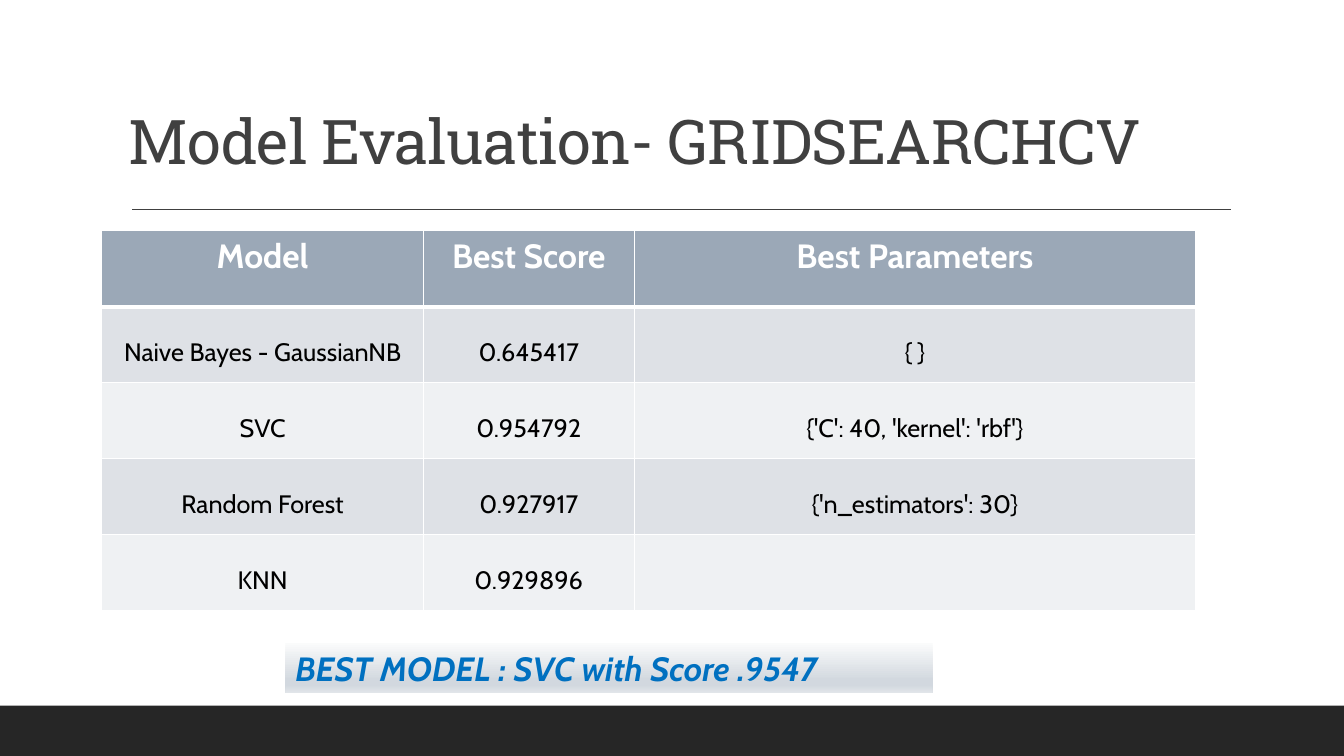
from copy import deepcopy
from dataclasses import dataclass
from typing import Any

from lxml import etree
from pptx import Presentation
from pptx import util as u
from pptx.dml.color import RGBColor
from pptx.enum import shapes, text
from pptx.oxml import ns

WHITE = RGBColor(0xFF, 0xFF, 0xFF)
BLACK = RGBColor(0, 0, 0)
BLUE = RGBColor(0x00, 0x70, 0xC0)
DARK_GRAY = RGBColor(0x40, 0x40, 0x40)
FOOTER_GRAY = RGBColor(0x26, 0x26, 0x26)
HEADER_FILL = RGBColor(0x9B, 0xA8, 0xB7)
BAND_FILLS = (RGBColor(0xDE, 0xE1, 0xE6), RGBColor(0xEF, 0xF1, 0xF3))
BANNER_STOPS = (
    (0.0, RGBColor(0xFA, 0xFB, 0xFB)),
    (0.74, RGBColor(0xD2, 0xD8, 0xDF)),
    (0.83, RGBColor(0xD2, 0xD8, 0xDF)),
    (1.0, RGBColor(0xE1, 0xE5, 0xE9)),
)
COLUMN_WIDTHS = (3.19, 2.09, 5.57)
ROW_HEIGHT = 0.754


@dataclass(frozen=True)
class Box:
    left: float
    top: float
    width: float
    height: float

    def lengths(self) -> tuple:
        return tuple(u.Inches(n) for n in (self.left, self.top, self.width, self.height))


@dataclass(frozen=True)
class ModelResult:
    model: str
    score: str
    parameters: str


HEADINGS = ModelResult("Model", "Best Score", "Best Parameters")
RESULTS = (
    ModelResult("Naive Bayes - GaussianNB", "0.645417", "{ }"),
    ModelResult("SVC", "0.954792", "{'C': 40, 'kernel': 'rbf'}"),
    ModelResult("Random Forest", "0.927917", "{'n_estimators': 30}"),
    ModelResult("KNN", "0.929896", ""),
)
TITLE_FORMAT = {"name": "Roboto Slab", "size": u.Pt(44)}
HEADER_FORMAT = {"name": "Cabin", "size": u.Pt(24), "bold": True}
BODY_FORMAT = {"name": "Cabin", "size": u.Pt(18), "bold": False}
BANNER_FORMAT = HEADER_FORMAT | {"italic": True}


def write(frame: Any, words: str, values: dict, color: RGBColor,
          alignment: Any, spacing: float = 1.0) -> None:
    """Fill a text frame with one formatted paragraph."""
    paragraph = frame.paragraphs[0]
    paragraph.alignment = alignment
    paragraph.line_spacing = spacing
    if not words:
        return
    run = paragraph.add_run()
    run.text = words
    for name, value in values.items():
        setattr(run.font, name, value)
    run.font.color.rgb = color


def add_rectangle(slide: Any, box: Box) -> Any:
    shape = slide.shapes.add_shape(shapes.MSO_SHAPE.RECTANGLE, *box.lengths())
    shape.shadow.inherit = False
    shape.line.fill.background()
    return shape


def add_footer_and_rule(slide: Any) -> None:
    footer = add_rectangle(slide, Box(0, 7, 13.33, 0.5))
    footer.fill.solid()
    footer.fill.fore_color.rgb = FOOTER_GRAY
    rule = slide.shapes.add_connector(
        shapes.MSO_CONNECTOR.STRAIGHT,
        *(u.Inches(n) for n in (1.31, 2.08, 12.21, 2.08)))
    rule.line.color.rgb = DARK_GRAY
    rule.line.width = u.Pt(1)
    etree.SubElement(rule._element.spPr, ns.qn("a:effectLst"))


def add_title(slide: Any) -> None:
    title = slide.shapes.title
    title.left, title.top, title.width, title.height = Box(1.17, 0.87, 11, 0.94).lengths()
    frame = title.text_frame
    frame.auto_size = text.MSO_AUTO_SIZE.NONE
    frame.vertical_anchor = text.MSO_ANCHOR.BOTTOM
    write(frame, "Model Evaluation- GRIDSEARCHCV", TITLE_FORMAT, DARK_GRAY,
          text.PP_ALIGN.LEFT, 0.9)
    frame.paragraphs[0].runs[0].font._element.set("spc", "-50")


def set_borders(cell: Any, widths: dict[str, float]) -> None:
    """Give a cell white edges; widths are in points, keyed L, R, T, B."""
    properties = cell._tc.get_or_add_tcPr()
    for position, (side, width) in enumerate(widths.items()):
        line = etree.Element(ns.qn(f"a:ln{side}"), w=str(u.Pt(width)))
        fill = etree.SubElement(line, ns.qn("a:solidFill"))
        etree.SubElement(fill, ns.qn("a:srgbClr"), val=str(WHITE))
        properties.insert(position, line)


def add_results_table(slide: Any) -> None:
    rows = (HEADINGS, *RESULTS)
    box = Box(1.01, 2.29, sum(COLUMN_WIDTHS), ROW_HEIGHT * len(rows))
    table = slide.shapes.add_table(len(rows), len(COLUMN_WIDTHS), *box.lengths()).table
    for column, width in zip(table.columns, COLUMN_WIDTHS):
        column.width = u.Inches(width)
    for index, result in enumerate(rows):
        header = index == 0
        table.rows[index].height = u.Inches(ROW_HEIGHT)
        fill = HEADER_FILL if header else BAND_FILLS[(index - 1) % 2]
        words = (result.model, result.score, result.parameters)
        for cell, content in zip(table.rows[index].cells, words):
            cell.fill.solid()
            cell.fill.fore_color.rgb = fill
            cell.vertical_anchor = text.MSO_ANCHOR.TOP if header else text.MSO_ANCHOR.MIDDLE
            write(cell.text_frame, content, HEADER_FORMAT if header else BODY_FORMAT,
                  WHITE if header else BLACK, text.PP_ALIGN.CENTER, 1.0 if header else 1.5)
            set_borders(cell, {"L": 1, "R": 1, "T": 3 if index == 1 else 1,
                               "B": 3 if header else 1})


def add_banner(slide: Any) -> None:
    banner = add_rectangle(slide, Box(2.83, 6.38, 6.42, 0.5))
    banner.fill.gradient()
    banner.fill.gradient_angle = 270
    stop_list = banner._element.spPr.find(f".//{ns.qn('a:gsLst')}")
    for _ in range(len(BANNER_STOPS) - len(stop_list)):
        stop_list.append(deepcopy(stop_list[0]))
    for stop, (position, color) in zip(banner.fill.gradient_stops, BANNER_STOPS):
        stop.position = position
        stop.color.rgb = color
    frame = banner.text_frame
    frame.word_wrap = True
    frame.vertical_anchor = text.MSO_ANCHOR.TOP
    write(frame, "BEST MODEL : SVC with Score .9547", BANNER_FORMAT, BLUE, text.PP_ALIGN.LEFT)


def main() -> None:
    presentation = Presentation()
    presentation.slide_width = u.Inches(13.33)
    presentation.slide_height = u.Inches(7.5)
    slide = presentation.slides.add_slide(presentation.slide_layouts.get_by_name("Title Only"))
    add_footer_and_rule(slide)
    add_title(slide)
    add_results_table(slide)
    add_banner(slide)
    presentation.save("out.pptx")


if __name__ == "__main__":
    main()
